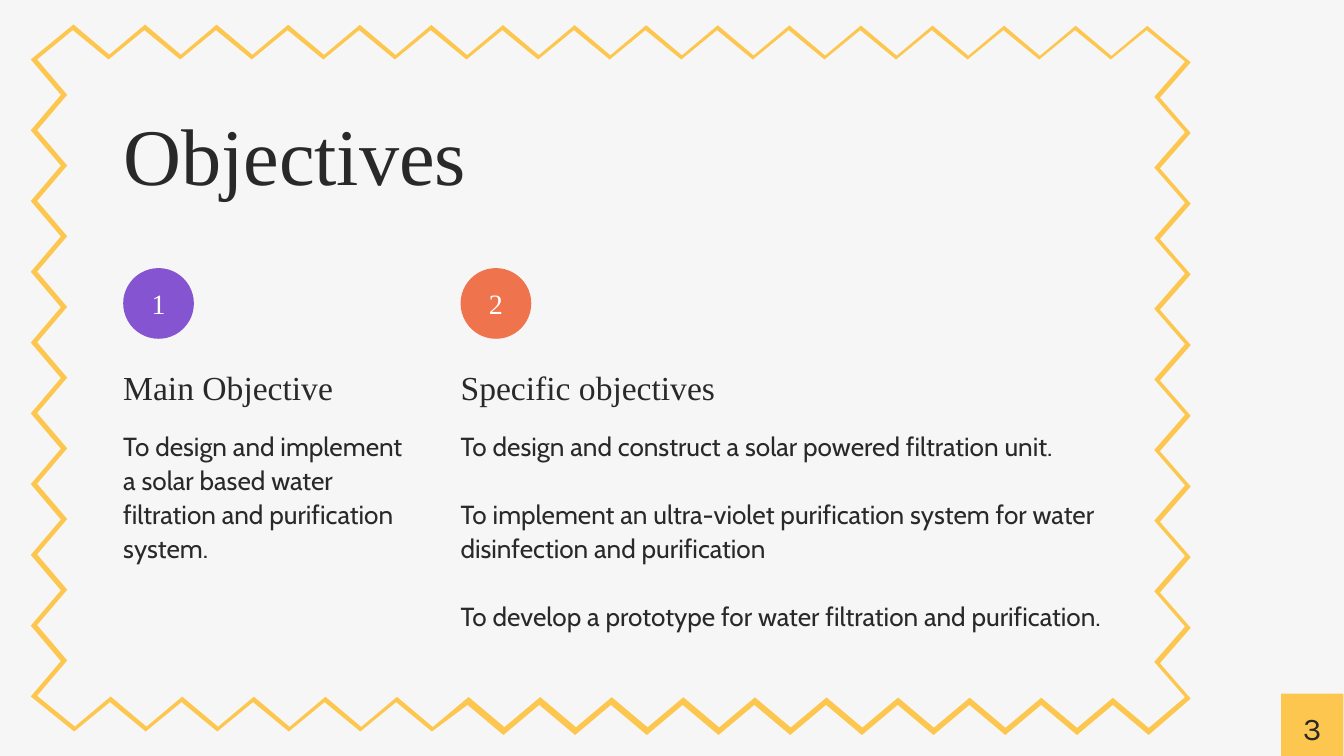
from pptx import Presentation
from pptx.dml.color import RGBColor
from pptx.enum.shapes import MSO_SHAPE
from pptx.enum.text import MSO_ANCHOR, PP_ALIGN
from pptx.util import Pt

PX = 9525
OVAL, RECT = MSO_SHAPE.OVAL, MSO_SHAPE.RECTANGLE
TOP, MIDDLE = MSO_ANCHOR.TOP, MSO_ANCHOR.MIDDLE
LEFT, CENTER = PP_ALIGN.LEFT, PP_ALIGN.CENTER
INK, WHITE, YELLOW, PAPER = "292929", "FFFFFF", "FDC74F", "F6F6F6"
SERIF = "Times New Roman"

TITLE = dict(name=SERIF, size=86, color=INK, spacing=103.2, align=LEFT, anchor=TOP)
HEADING = dict(TITLE, size=36, spacing=46.8)
BODY = dict(TITLE, name="Cabin", size=28, spacing=36.4)
NUMBER = dict(TITLE, size=30, color=WHITE, spacing=36, align=CENTER, anchor=MIDDLE)
PAGE = dict(NUMBER, name="Karla", size=34, color=INK, spacing=47.6)


def paint(fill, color):
    fill.solid()
    fill.fore_color.rgb = RGBColor.from_string(color)


def write(sp, lines, fmt):
    tf = sp.text_frame
    for side in ("left", "top", "right", "bottom"):
        setattr(tf, f"margin_{side}", 0)
    tf.word_wrap = True
    tf.vertical_anchor = fmt["anchor"]
    for i, line in enumerate(lines):
        p = tf.paragraphs[0] if i == 0 else tf.add_paragraph()
        p.alignment = fmt["align"]
        p.line_spacing = Pt(fmt["spacing"])
        p.space_before = Pt(fmt["spacing"] if i else 0)
        r = p.add_run()
        r.text = line
        for key, value in dict(name=fmt["name"], size=Pt(fmt["size"])).items():
            setattr(r.font, key, value)
        paint(r.font.fill, fmt["color"])


prs = Presentation()
prs.slide_width, prs.slide_height = 1920 * PX, 1080 * PX
s = prs.slides.add_slide(prs.slide_layouts[6])
paint(s.background.fill, PAPER)

# start, end, number of points, offset of every second point
outer_sides = [
    ((105, 35), (1639, 37), 31, (0, 43)),
    ((1701, 89), (1701, 998), 19, (-44, 0)),
    ((1641, 1050), (668, 1050), 20, (0, -43)),
    ((617, 1045), (106, 1045), 11, (0, -42)),
    ((44, 995), (44, 85), 19, (43, 0)),
]
inner_sides = [
    ((104, 43), (1638, 43), 31, (0, 42)),
    ((1693, 88), (1693, 996), 19, (-44, 0)),
    ((1641, 1040), (107, 1038), 31, (0, -43)),
    ((53, 994), (53, 85), 19, (43, 0)),
]
outlines = []
for sides in (outer_sides, inner_sides):
    points = []
    for start, end, count, offset in sides:
        for i in range(count):
            t = i / (count - 1)
            points.append([round((a + (b - a) * t + d * (i % 2)) * PX)
                           for a, b, d in zip(start, end, offset)])
    outlines.append(points)
outer, inner = outlines[0], outlines[1][::-1]

border = s.shapes.build_freeform(*outer[0])
border.add_line_segments(outer[1:])
border.move_to(*inner[0])
border.add_line_segments(inner[1:])
sp = border.convert_to_shape()
sp.shadow.inherit = False
sp.line.fill.background()
paint(sp.fill, YELLOW)

columns = [
    (176, 400, 287, "8454D1", "Main Objective",
     ["To design and implement a solar based water filtration and purification system."]),
    (658, 936, 388, "EF734C", "Specific objectives",
     ["To design and construct a solar powered filtration unit.",
      "To implement an ultra-violet purification system for water disinfection and purification",
      "To develop a prototype for water filtration and purification."]),
]
texts = [(176, 151, 962, 138, ["Objectives"], TITLE)]
badges = [(RECT, 1830, 991, 89, YELLOW, "3", PAGE)]
for number, (x, w, h, color, heading, body) in enumerate(columns, 1):
    texts.append((x, 520, w, 60, [heading], HEADING))
    texts.append((x, 611, w, h, body, BODY))
    badges.append((OVAL, x, 383, 101, color, str(number), NUMBER))

for x, y, w, h, lines, fmt in texts:
    sp = s.shapes.add_textbox(x * PX, y * PX, w * PX, h * PX)
    write(sp, lines, fmt)

for kind, x, y, size, color, label, fmt in badges:
    sp = s.shapes.add_shape(kind, x * PX, y * PX, size * PX, size * PX)
    sp.shadow.inherit = False
    sp.line.fill.background()
    paint(sp.fill, color)
    write(sp, [label], fmt)

prs.save("out.pptx")
